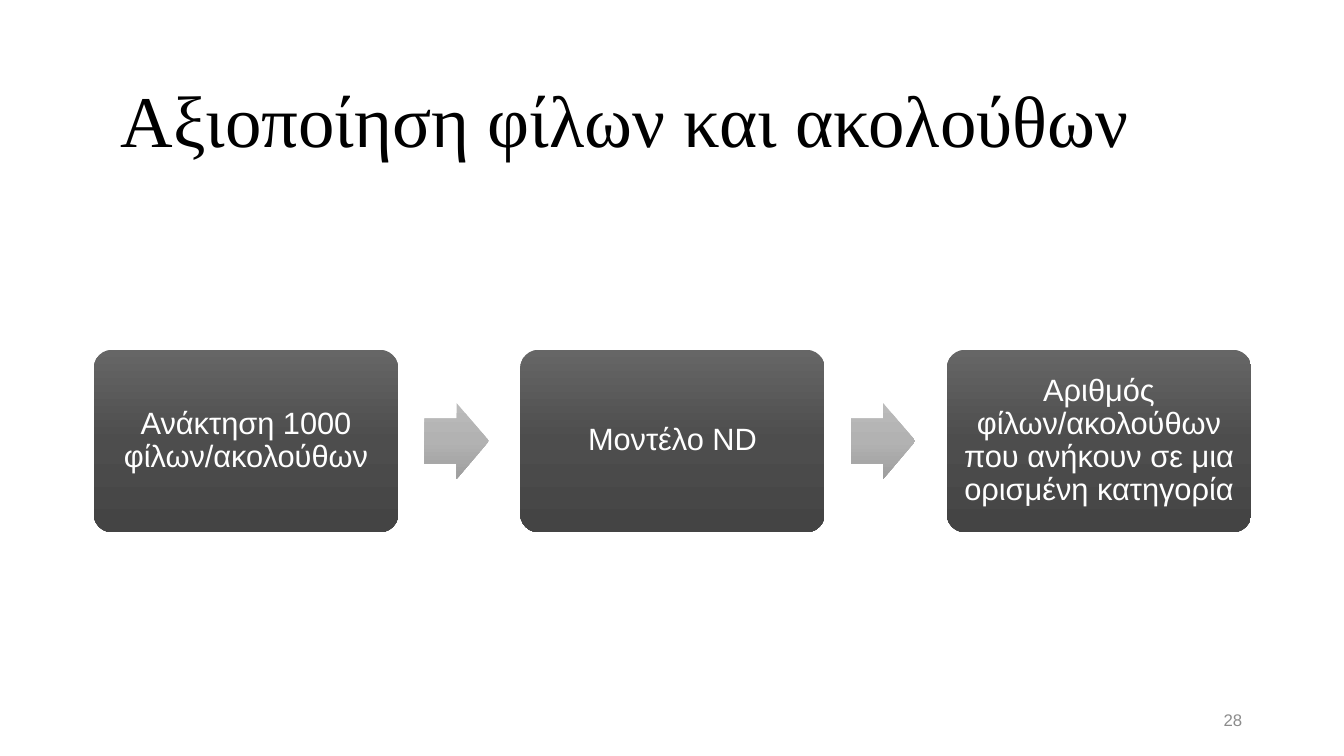
from copy import deepcopy
from pptx import Presentation
from pptx import util as u
from pptx.dml.color import RGBColor
from pptx.enum import shapes, text

INK = {
    "title": "000000",
    "label": "FFFFFF",
    "number": "8C8C8C",
    "box": ["666666", "4D4D4D", "444444"],
    "arrow": ["BBBBBB", "B2B2B2", "9E9E9E"],
}
STEPS = [
    "Ανάκτηση 1000 φίλων/ακολούθων",
    "Μοντέλο ND",
    "Αριθμός φίλων/ακολούθων που ανήκουν σε μια ορισμένη κατηγορία",
]
LEFT, PITCH, MID = 0.93, 4.23, 4.375
BOX_W, BOX_H = 3.02, 1.81
ARROW_W, ARROW_H, GAP = 0.64, 0.75, 0.26


def write(shape, words, size, font, color, align):
    frame = shape.text_frame
    frame.word_wrap = True
    frame.auto_size = text.MSO_AUTO_SIZE.NONE
    frame.vertical_anchor = text.MSO_ANCHOR.MIDDLE
    frame.text = words
    para = frame.paragraphs[0]
    para.alignment = align
    para.line_spacing = 0.9
    face = para.runs[0].font
    face.size = u.Pt(size)
    face.name = font
    face.color.rgb = RGBColor.from_string(color)


def add_block(kind, left, width, height, ratios, colors):
    block = slide.shapes.add_shape(
        kind, u.Inches(left), u.Inches(MID - height / 2),
        u.Inches(width), u.Inches(height))
    block.shadow.inherit = False
    block.line.fill.background()
    for i, ratio in enumerate(ratios):
        block.adjustments[i] = ratio
    # Three-stop gradient, running from top to bottom
    block.fill.gradient()
    block.fill.gradient_angle = 270
    first = block._element.xpath(".//a:gs")[0]
    first.addnext(deepcopy(first))
    for i, stop in enumerate(block.fill.gradient_stops):
        stop.position = i / 2
        stop.color.rgb = RGBColor.from_string(colors[i])
    return block


deck = Presentation()
deck.slide_width, deck.slide_height = u.Inches(13.33), u.Inches(7.5)
slide = deck.slides.add_slide(deck.slide_layouts[5])

# Title
title = slide.shapes.title
title.left, title.top = u.Inches(0.92), u.Inches(0.61)
title.width, title.height = u.Inches(11.5), u.Inches(1.24)
write(title, "Αξιοποίηση φίλων και ακολούθων", 52, "Times New Roman",
      INK["title"], text.PP_ALIGN.LEFT)
title.text_frame.margin_left = u.Inches(0.28)

# Process steps, with an arrow after each one but the last
for i, step in enumerate(STEPS):
    left = LEFT + i * PITCH
    box = add_block(shapes.MSO_SHAPE.ROUNDED_RECTANGLE, left, BOX_W, BOX_H,
                    [0.1], INK["box"])
    write(box, step, 22, "Arial", INK["label"], text.PP_ALIGN.CENTER)
    # The rounded corners already inset the text by 0.05 inch
    frame = box.text_frame
    frame.margin_left = frame.margin_right = u.Inches(0.09)
    frame.margin_top = frame.margin_bottom = u.Inches(0.09)
    if i < len(STEPS) - 1:
        add_block(shapes.MSO_SHAPE.RIGHT_ARROW, left + BOX_W + GAP,
                  ARROW_W, ARROW_H, [0.6, 0.5], INK["arrow"])

# Slide number
number = slide.shapes.add_textbox(
    u.Inches(9.42), u.Inches(6.95), u.Inches(3), u.Inches(0.4))
write(number, "28", 12, "Arial", INK["number"], text.PP_ALIGN.RIGHT)

deck.save("out.pptx")
